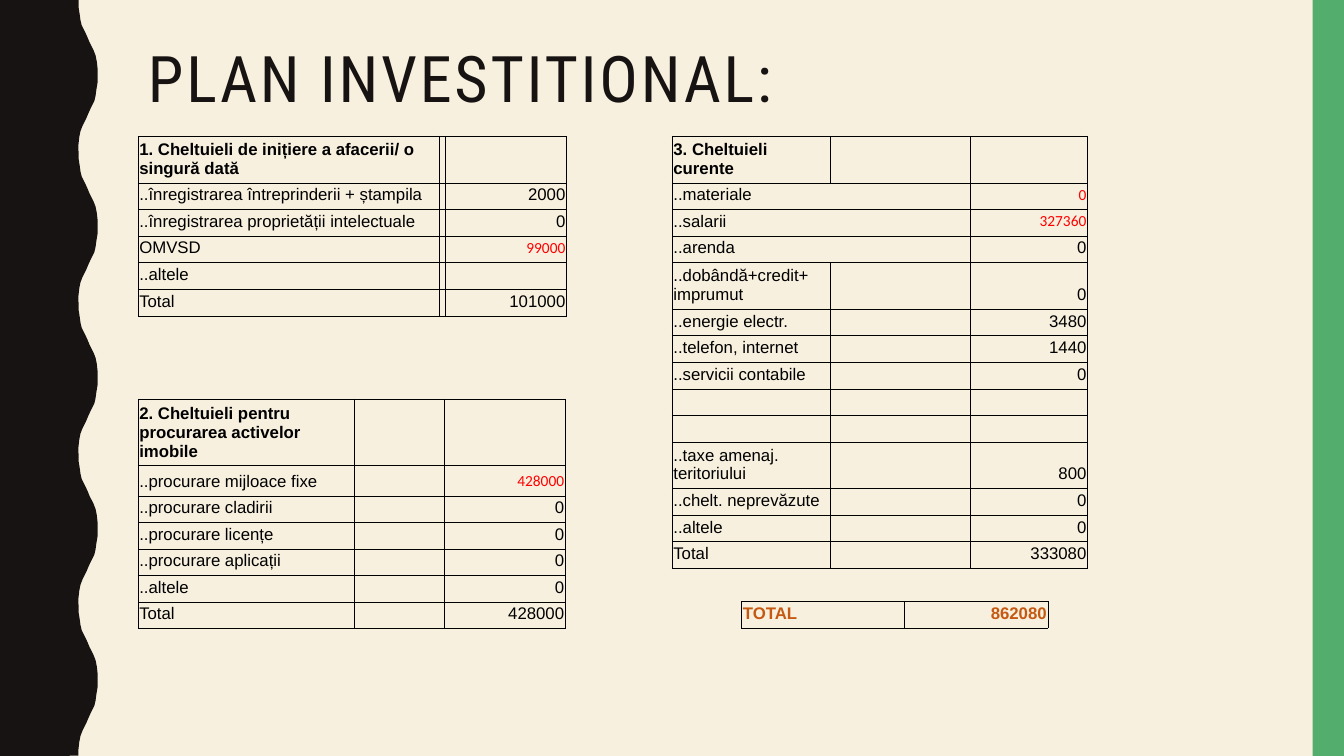
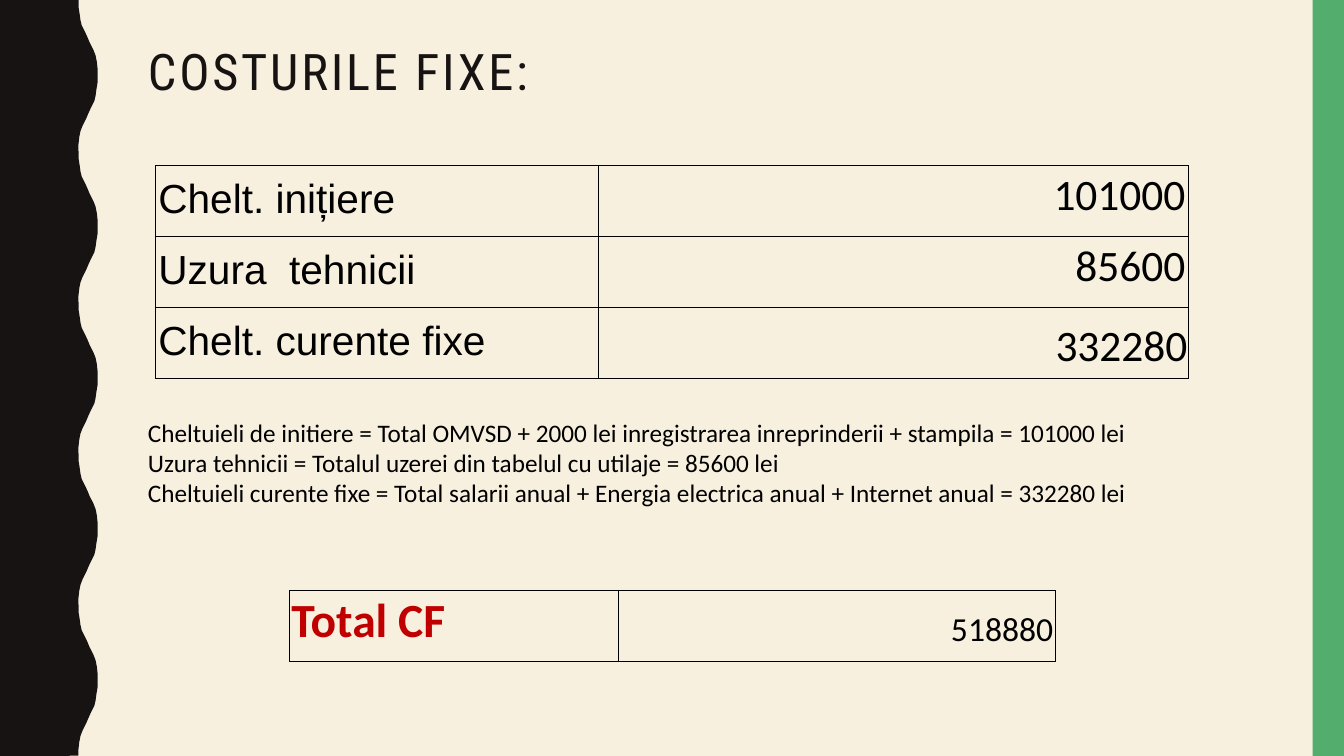
from lxml.etree import SubElement
from pptx import Presentation
from pptx.dml.color import RGBColor as Rgb
from pptx.enum.shapes import MSO_SHAPE as Shape
from pptx.enum.text import MSO_ANCHOR as Anchor, PP_ALIGN as Align
from pptx.oxml.ns import qn
from pptx.util import Cm, Pt

WIDE, HIGH = 33.87, 19.05
INK = {"sand": "F7F0DF", "dark": "171312", "green": "53AE6E", "black": "000000",
       "red": "FF0000", "rust": "C65911", "wine": "C00000"}

# Left edge of the text blocks and of the tables on the first slide
LEFT = 3.48
# Half a wave of the dark band, as (x, y)
CURVE = [(1.98, 0), (1.98, 0.18), (2.01, 0.36), (2.03, 0.51), (2.06, 0.64),
         (2.11, 0.74), (2.16, 0.84), (2.21, 0.95), (2.26, 1.07), (2.31, 1.17),
         (2.36, 1.27), (2.41, 1.4), (2.44, 1.55), (2.46, 1.73), (2.46, 1.9)]
HALF, COUNT = 1.905, 10

BODY = {"size": 12, "font": "Arial"}
BOLD = {**BODY, "bold": True}
ALERT = {"size": 11, "font": "Calibri", "ink": "red"}
TOTAL = {**BOLD, "ink": "rust"}
THIN, MID, THICK = (0.03, 0.13), (0.05, 0.28), (0.08, 0.36)

# Each row: height, label, value, then tags ("red" value, "span" label)
START = [
    (1.08, "1. Cheltuieli de inițiere a afacerii/ o singură dată", ""),
    (0.63, "..înregistrarea întreprinderii + ștampila", "2000"),
    (0.63, "..înregistrarea proprietății intelectuale", "0"),
    (0.66, "OMVSD", "99000", "red"),
    (0.68, "..altele", ""),
    (0.66, "Total", "101000"),
]
ASSETS = [
    (1.56, "2. Cheltuieli pentru procurarea activelor imobile", ""),
    (0.76, "..procurare mijloace fixe", "428000", "red"),
    (0.66, "..procurare cladirii", "0"),
    (0.66, "..procurare licențe", "0"),
    (0.66, "..procurare aplicații", "0"),
    (0.66, "..altele", "0"),
    (0.66, "Total", "428000"),
]
COSTS = [
    (1.08, "3. Cheltuieli curente", ""),
    (0.65, "..materiale", "0", "red", "span"),
    (0.65, "..salarii", "327360", "red", "span"),
    (0.64, "..arenda", "0", "span"),
    (1.14, "..dobândă+credit+ imprumut", "0"),
    (0.64, "..energie electr.", "3480"),
    (0.64, "..telefon, internet", "1440"),
    (0.64, "..servicii contabile", "0"),
    (0.64, "", ""),
    (0.64, "", ""),
    (1.14, "..taxe amenaj. teritoriului", "800"),
    (0.64, "..chelt. neprevăzute", "0"),
    (0.64, "..altele", "0"),
    (0.64, "Total", "333080"),
]
FIXED = [
    (1.79, "Chelt. inițiere", "101000"),
    (1.79, "Uzura  tehnicii", "85600"),
    (1.79, "Chelt. curente fixe", "332280"),
]
NOTES = [
    "Cheltuieli de initiere = Total OMVSD + 2000 lei inregistrarea inreprinderii"
    " + stampila = 101000 lei",
    "Uzura tehnicii = Totalul uzerei din tabelul cu utilaje = 85600 lei",
    "Cheltuieli curente fixe = Total salarii anual + Energia electrica anual"
    " + Internet anual = 332280 lei",
]


def color(name):
    return Rgb.from_string(INK[name])


def write(frame, *lines, size=12, font="Arial", ink="black", bold=False,
          align=Align.LEFT, space=None, track=0):
    """Fill a text frame with one paragraph per line."""
    frame.word_wrap = True
    for num, line in enumerate(lines):
        para = frame.add_paragraph() if num else frame.paragraphs[0]
        para.alignment = align
        if space:
            para.line_spacing = space
        if not line:
            para._p.get_or_add_endParaRPr().set("sz", str(size * 100))
            continue
        run = para.add_run()
        run.text = line
        run.font.size, run.font.name, run.font.bold = Pt(size), font, bold
        run.font.color.rgb = color(ink)
        if track:
            run._r.get_or_add_rPr().set("spc", str(track * 100))


def textbox(slide, box, *lines, **form):
    shape = slide.shapes.add_textbox(*map(Cm, box))
    write(shape.text_frame, *lines, **form)


def paint(shape, ink):
    shape.shadow.inherit = False
    shape.fill.solid()
    shape.fill.fore_color.rgb = color(ink)
    shape.line.fill.background()


def rule(cell):
    """Give a cell thin black borders and no fill."""
    props = cell._tc.get_or_add_tcPr()
    for side in ("lnL", "lnR", "lnT", "lnB"):
        line = SubElement(props, qn("a:" + side), w=str(Pt(0.5)))
        fill = SubElement(line, qn("a:solidFill"))
        SubElement(fill, qn("a:srgbClr"), val=INK["black"])
    cell.fill.background()


def pad(cell, side, foot):
    cell.margin_left = cell.margin_right = cell.margin_top = Cm(side)
    cell.margin_bottom = Cm(foot)
    cell.vertical_anchor = Anchor.BOTTOM


def grid(slide, left, top, cols, rows, head=BODY, label=BODY, value=BODY, inset=THIN):
    """Draw a ruled table: label in the first column, value in the last."""
    high = sum(row[0] for row in rows)
    table = slide.shapes.add_table(len(rows), len(cols), Cm(left), Cm(top),
                                   Cm(sum(cols)), Cm(high)).table
    table.first_row = table.horz_banding = False
    for col, wide in zip(table.columns, cols):
        col.width = Cm(wide)
    for num, (tall, name, amount, *tags) in enumerate(rows):
        table.rows[num].height = Cm(tall)
        texts = [name] + [""] * (len(cols) - 2) + [amount]
        for pos, text in enumerate(texts):
            cell = table.cell(num, pos)
            rule(cell)
            pad(cell, *inset)
            form = value if pos else label if num else head
            if pos and "red" in tags:
                form = ALERT
            write(cell.text_frame, text, **form,
                  align=Align.RIGHT if pos else Align.LEFT)
        if "span" in tags:
            table.cell(num, 0).merge(table.cell(num, len(cols) - 2))
    return table


def wave(slide):
    """Draw the dark band whose right edge swings from side to side."""
    low, far = CURVE[0][0], CURVE[-1][0]
    edge = [(low + far - x if half % 2 else x, y + half * HALF)
            for half in range(COUNT) for x, y in CURVE]
    points = [(Cm(x), Cm(y)) for x, y in edge + [(0, HIGH)]]
    pen = slide.shapes.build_freeform(0, 0)
    pen.add_line_segments(points, close=True)
    paint(pen.convert_to_shape(), "dark")


def base(deck, title, size):
    """Add a slide with the shared background, bands and title."""
    slide = deck.slides.add_slide(deck.slide_layouts[6])
    fill = slide.background.fill
    fill.solid()
    fill.fore_color.rgb = color("sand")
    wave(slide)
    band = 0.79
    paint(slide.shapes.add_shape(Shape.RECTANGLE, Cm(WIDE - band), 0,
                                 Cm(band), Cm(HIGH)), "green")
    textbox(slide, (LEFT, 1.07, 28.27, 1.65), title, size=size,
            font="Roboto Condensed", ink="dark", space=0.9, track=2)
    return slide


def plan(deck):
    slide = base(deck, "PLAN INVESTITIONAL:", 45.9)
    top = 3.43
    grid(slide, LEFT, top, (7.59, 0.13, 3.05), START, head=BOLD)
    grid(slide, LEFT, 10.05, (5.46, 2.26, 3.05), ASSETS, head=BOLD)
    grid(slide, 16.94, top, (3.99, 3.53, 2.95), COSTS, head=BOLD)
    grid(slide, 18.69, 15.16, (4.09, 3.63), [(0.66, "TOTAL", "862080")],
         head=TOTAL, value=TOTAL)


def fixed(deck):
    slide = base(deck, "COSTURILE FIXE:", 36)
    name = {"size": 29, "font": "Arial"}
    table = grid(slide, 3.91, 4.17, (11.18, 14.86), FIXED, head=name, label=name,
                 value={"size": 31, "font": "Calibri"}, inset=THICK)
    pad(table.cell(2, 1), *THIN)
    textbox(slide, (LEFT, 10.39, 28.27, 2.57), *NOTES, size=18, font="Calibri")
    grid(slide, 7.29, 14.88, (8.28, 11.02), [(1.79, "Total CF", "518880")],
         head={"size": 34, "font": "Calibri", "ink": "wine", "bold": True},
         value={"size": 24, "font": "Calibri"}, inset=MID)


def main():
    deck = Presentation()
    deck.slide_width, deck.slide_height = Cm(WIDE), Cm(HIGH)
    plan(deck)
    fixed(deck)
    deck.save("out.pptx")


if __name__ == "__main__":
    main()
